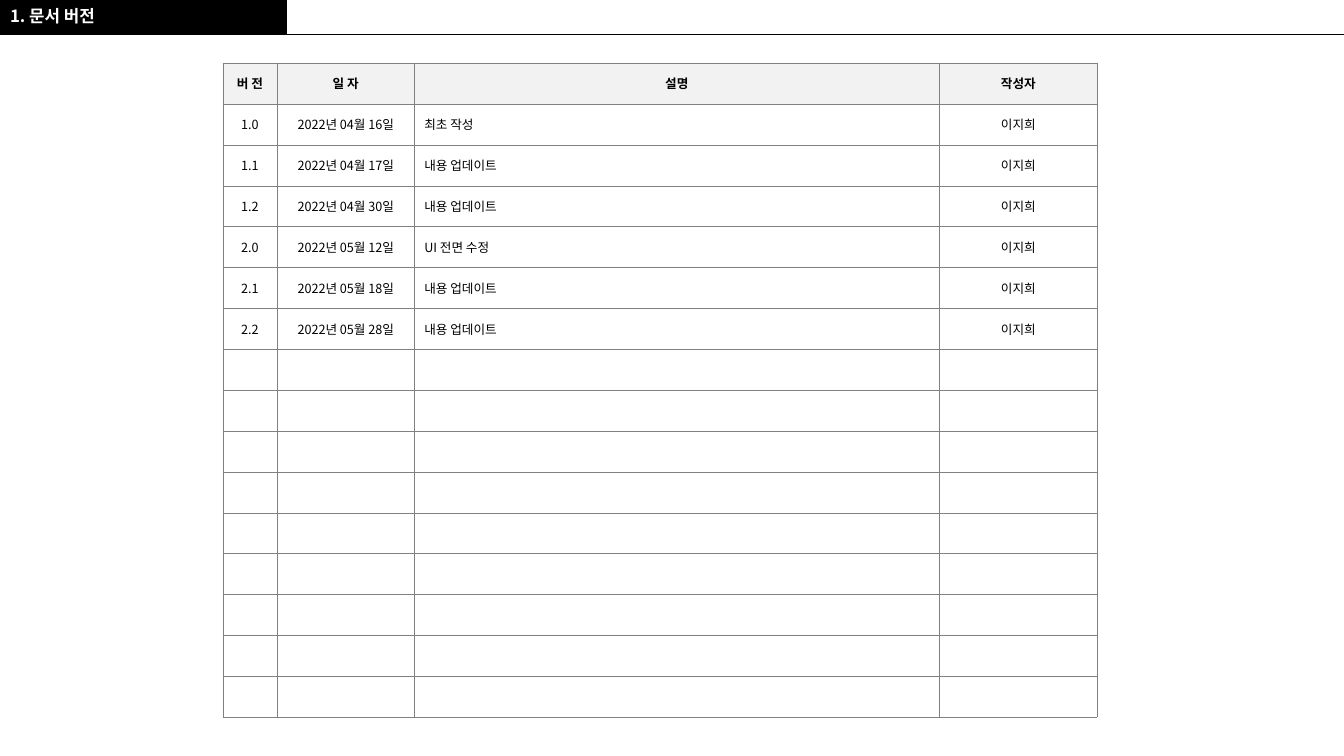
import pptx
import pptx.util
import pptx.dml.color
import pptx.enum.shapes
import pptx.enum.text
import pptx.oxml
import pptx.oxml.ns
import lxml.etree

Pt = pptx.util.Pt
RGB = pptx.dml.color.RGBColor
ALIGN = pptx.enum.text.PP_ALIGN
ANCHOR = pptx.enum.text.MSO_ANCHOR
qn = pptx.oxml.ns.qn

BLACK = RGB(0x00, 0x00, 0x00)
WHITE = RGB(0xFF, 0xFF, 0xFF)
HEADER_GRAY = RGB(0xF2, 0xF2, 0xF2)
BORDER_GRAY = RGB(0x80, 0x80, 0x80)
FONT = "Noto Sans CJK KR"

HEADERS = ["버 전", "일 자", "설명", "작성자"]
AUTHOR = "이지희"
UPDATE = "내용 업데이트"
VERSIONS = [
    ("1.0", "2022년 04월 16일", "최초 작성", AUTHOR),
    ("1.1", "2022년 04월 17일", UPDATE, AUTHOR),
    ("1.2", "2022년 04월 30일", UPDATE, AUTHOR),
    ("2.0", "2022년 05월 12일", "UI 전면 수정", AUTHOR),
    ("2.1", "2022년 05월 18일", UPDATE, AUTHOR),
    ("2.2", "2022년 05월 28일", UPDATE, AUTHOR),
]
ROW_COUNT = 16
ROW_HEIGHT = 29.2
COLUMN_WIDTHS = [38.9, 97.9, 375.1, 112.8]


def add_text(p, text, size, color, bold):
    r = p.add_run()
    r.text = text
    for name, value in {"name": FONT, "size": Pt(size), "bold": bold}.items():
        setattr(r.font, name, value)
    r.font.color.rgb = color
    lxml.etree.SubElement(r.font._element, qn("a:ea"), typeface=FONT)


def add_borders(cell):
    tcPr = cell._tc.get_or_add_tcPr()
    for i, side in enumerate(("lnL", "lnR", "lnT", "lnB")):
        ln = lxml.etree.Element(qn(f"a:{side}"), w=str(Pt(0.25)))
        fill = lxml.etree.SubElement(ln, qn("a:solidFill"))
        lxml.etree.SubElement(fill, qn("a:srgbClr"), val=str(BORDER_GRAY))
        tcPr.insert(i, ln)


prs = pptx.Presentation()
prs.slide_width, prs.slide_height = Pt(960), Pt(540)
s = prs.slides.add_slide(prs.slide_layouts[5])

band = s.shapes.add_shape(pptx.enum.shapes.MSO_SHAPE.RECTANGLE, 0, 0, Pt(205), Pt(25))
band.shadow.inherit = False
band.fill.solid()
band.fill.fore_color.rgb = BLACK
band.line.fill.background()

rule = s.shapes.add_connector(
    pptx.enum.shapes.MSO_CONNECTOR.STRAIGHT, Pt(199), Pt(24.6), Pt(960), Pt(24.6))
rule.line.color.rgb = BLACK
rule.line.width = Pt(0.5)
lxml.etree.SubElement(rule.element.spPr, qn("a:effectLst"))

title = s.shapes.title
title.left, title.top, title.width, title.height = 0, Pt(2), Pt(205), Pt(23)
rule.element.addnext(title.element)
tf = title.text_frame
tf.auto_size = pptx.enum.text.MSO_AUTO_SIZE.NONE
tf.vertical_anchor = ANCHOR.TOP
p = tf.paragraphs[0]
for name, value in {"alignment": ALIGN.LEFT, "line_spacing": 0.9, "space_before": Pt(10)}.items():
    setattr(p, name, value)
add_text(p, "1. 문서 버전", 12, WHITE, True)

table = s.shapes.add_table(
    ROW_COUNT, len(HEADERS), Pt(159.1), Pt(45),
    Pt(sum(COLUMN_WIDTHS)), Pt(ROW_COUNT * ROW_HEIGHT)).table
table.first_row = False
table.horz_banding = False
for column, width in zip(table.columns, COLUMN_WIDTHS):
    column.width = Pt(width)

rows = [HEADERS] + VERSIONS
for i, row in enumerate(table.rows):
    row.height = Pt(ROW_HEIGHT)
    for j, cell in enumerate(row.cells):
        cell.margin_top = cell.margin_bottom = 0
        cell.vertical_anchor = ANCHOR.MIDDLE
        if i == 0:
            cell.fill.solid()
            cell.fill.fore_color.rgb = HEADER_GRAY
        else:
            cell.fill.background()
        add_borders(cell)
        if i < len(rows):
            p = cell.text_frame.paragraphs[0]
            p.alignment = ALIGN.LEFT if i and j == 2 else ALIGN.CENTER
            add_text(p, rows[i][j], 9, BLACK, i == 0)

prs.save("out.pptx")
